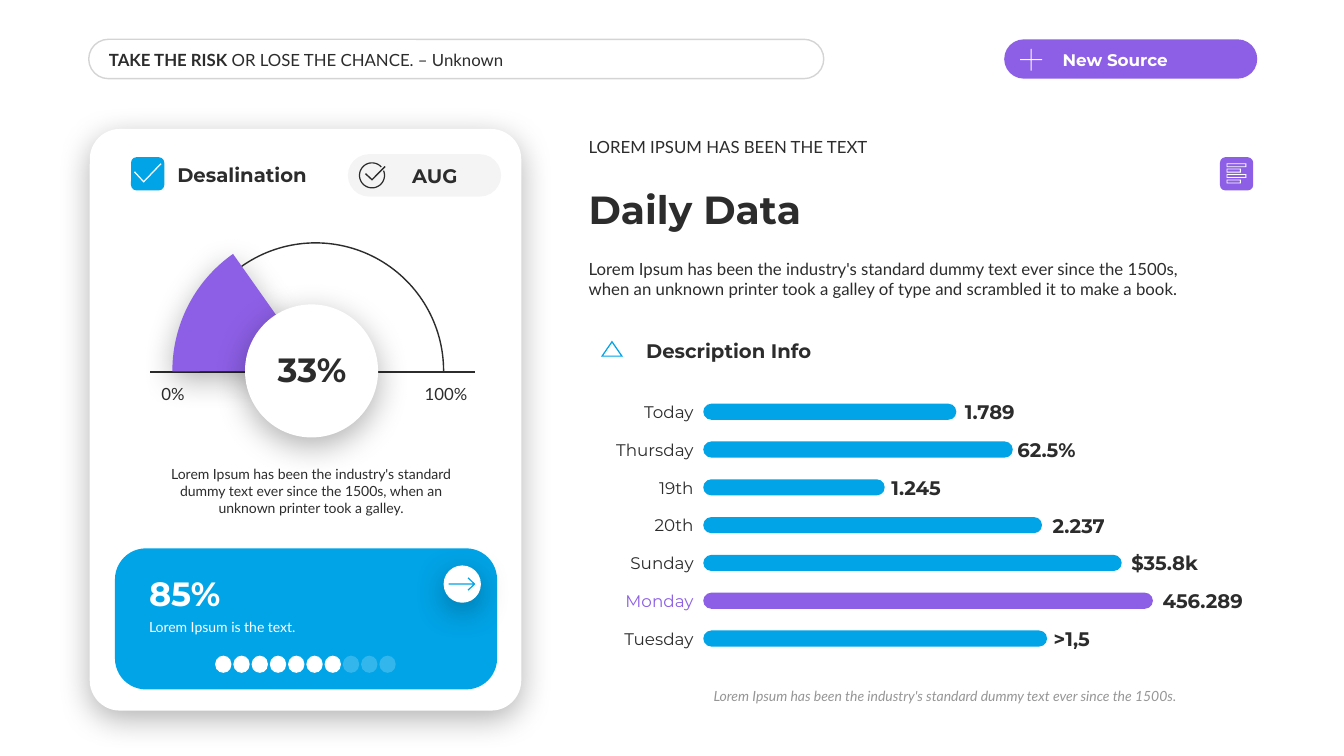
from math import cos, radians, sin

from lxml.etree import SubElement
from pptx import Presentation
from pptx.dml.color import RGBColor
from pptx.enum.shapes import MSO_CONNECTOR as Connector, MSO_SHAPE as Shape
from pptx.enum.text import MSO_ANCHOR as Anchor, MSO_AUTO_SIZE as AutoSize, PP_ALIGN as Align
from pptx.oxml.ns import qn
from pptx.util import Inches, Pt

CELL = Inches(0.1)  # the grid has square cells: 133.3 columns by 75 rows
BLUE, PURPLE, INK, WHITE, GREY = "01A4E7", "8D5FE6", "2C2C2C", "FFFFFF", "969696"
BODY, HEADING = "Lato", "Montserrat"
TEXT_INSETS, SLIM_INSETS, NO_INSETS = (1, 0.5), (0, 0.5), (0, 0)


def cells(*counts):
    return [round(count * CELL) for count in counts]


def colour(code):
    return RGBColor.from_string(code)


def set_alpha(parent, percent):
    for tint in parent.iter(qn("a:srgbClr")):
        SubElement(tint, qn("a:alpha"), val=str(percent * 1000))


class Board:
    """Holds the slide and draws styled elements, placed in grid columns and rows."""

    def __init__(self, slide):
        self.slide = slide

    def shape(self, kind, box, fill=None, line=None, adjust=(), alpha=None, lifted=False):
        shape = self.slide.shapes.add_shape(kind, *cells(*box))
        for index, value in enumerate(adjust):
            shape.adjustments[index] = value
        self.paint(shape, fill, line, alpha)
        if lifted:
            self.lift(shape)
        return shape

    def paint(self, shape, fill, line=None, alpha=None):
        shape.shadow.inherit = False
        if fill:
            shape.fill.solid()
            shape.fill.fore_color.rgb = colour(fill)
        else:
            shape.fill.background()
        if line:
            shape.line.color.rgb = colour(line)
            shape.line.width = Pt(1)
        else:
            shape.line.fill.background()
        if alpha:
            set_alpha(shape.element.spPr, alpha)

    def lift(self, shape):
        """Give the shape a soft shadow below it."""
        effects = shape.element.spPr.find(qn("a:effectLst"))
        shadow = SubElement(effects, qn("a:outerShdw"), blurRad=str(Pt(23)), dist=str(Pt(6)),
                            dir="5400000", algn="t", rotWithShape="0")
        SubElement(shadow, qn("a:srgbClr"), val="000000")
        set_alpha(shadow, 30)

    def pill(self, box, fill=None, **options):
        return self.shape(Shape.ROUNDED_RECTANGLE, box, fill, adjust=[0.5], **options)

    def icon(self, fill, *contours):
        """Fill one outline made of closed contours; inner ones cut holes."""
        fine = [[(x * 1000, y * 1000) for x, y in contour] for contour in contours]
        builder = self.slide.shapes.build_freeform(*fine[0][0], scale=CELL / 1000)
        for index, points in enumerate(fine):
            if index:
                builder.move_to(*points[0])
            builder.add_line_segments(points[1:], close=True)
        self.paint(builder.convert_to_shape(), fill)

    def rule(self, start, end):
        line = self.slide.shapes.add_connector(Connector.STRAIGHT, *cells(*start, *end))
        line.line.color.rgb = colour(INK)
        line.line.width = Pt(1)
        SubElement(line.element.spPr, qn("a:effectLst"))

    def text(self, box, words, size=12, font=BODY, tint=INK, bold=False, italic=False,
             align=Align.LEFT, anchor=Anchor.TOP, insets=TEXT_INSETS, wrap=True, after=0):
        frame = self.slide.shapes.add_textbox(*cells(*box)).text_frame
        frame.text = words
        frame.word_wrap = wrap
        frame.auto_size = AutoSize.SHAPE_TO_FIT_TEXT
        frame.vertical_anchor = anchor
        frame.margin_left = frame.margin_right = cells(insets[0])[0]
        frame.margin_top = frame.margin_bottom = cells(insets[1])[0]
        paragraph = frame.paragraphs[0]
        paragraph.alignment = align
        paragraph.space_after = Pt(after)
        self.format(paragraph.runs[0], size, font, tint, bold, italic)
        return paragraph

    def format(self, run, size, font, tint, bold=False, italic=False):
        run.font.size = Pt(size)
        run.font.name = font
        run.font.color.rgb = colour(tint)
        run.font.bold = bold
        run.font.italic = italic

    def heading(self, box, words, size=14, tint=INK, anchor=Anchor.MIDDLE, **options):
        self.text(box, words, size, HEADING, tint, bold=True, anchor=anchor, **options)


def rectangle(left, top, width, height):
    right, bottom = left + width, top + height
    return [(left, top), (right, top), (right, bottom), (left, bottom)]


def arc_points(x, y, radius, angles):
    return [(x + radius * cos(radians(a)), y + radius * sin(radians(a))) for a in angles]


def draw_header(board):
    quote_box = board.pill((8.8, 3.9, 72.9, 3.9), line=INK, alpha=20)
    quote_box.line.width = Pt(1)
    quote = board.text((10.4, 4.4, 65.1, 3), "TAKE THE RISK ", bold=True,
                       anchor=Anchor.MIDDLE, insets=(0.4, 0.5))
    rest = quote.add_run()
    rest.text = "OR LOSE THE CHANCE. – Unknown"
    board.format(rest, 12, BODY, INK)
    board.pill((99.6, 3.9, 25.1, 3.9), PURPLE)
    board.heading((104.4, 4.4, 20.2, 3), "New Source", 12, WHITE)
    x, y, reach, half = 102.27, 5.92, 1.08, 0.05
    board.icon(WHITE, [(x - half, y - reach), (x + half, y - reach), (x + half, y - half),
                       (x + reach, y - half), (x + reach, y + half), (x + half, y + half),
                       (x + half, y + reach), (x - half, y + reach), (x - half, y + half),
                       (x - reach, y + half), (x - reach, y - half), (x - half, y - half)])


def draw_card_title(board):
    board.shape(Shape.ROUNDED_RECTANGLE, (13, 15.6, 3.3, 3.3), BLUE)
    board.icon(WHITE, [(13.3, 17.1), (13.38, 17), (14.25, 17.95), (15.92, 16.2),
                       (16.02, 16.28), (14.25, 18.12)])
    board.heading((16.6, 15.6, 15.9, 3.4), "Desalination")
    board.pill((34.5, 15.3, 15.2, 4.2), INK, alpha=5)
    sweep = range(-22, 319, 5)
    ring = arc_points(36.9, 17.4, 1.3, sweep) + arc_points(36.9, 17.4, 1.18, reversed(sweep))
    tick = [(36.2, 17.28), (36.3, 17.18), (36.9, 17.74), (38.15, 16.48),
            (38.24, 16.57), (36.9, 17.92)]
    board.icon(INK, ring, tick)
    board.heading((39.9, 15.7, 8.7, 3.4), "AUG")


def draw_gauge(board):
    board.shape(Shape.ARC, (18.6, 24.1, 25.4, 25.4), line=INK, adjust=[107.89, 0])
    board.rule((14.9, 36.9), (47.1, 36.9))
    for left, width, mark in [(16, 2.3, "0%"), (42.1, 4.3, "100%")]:
        board.text((left, 38.1, width, 2), mark, align=Align.CENTER,
                   anchor=Anchor.MIDDLE, insets=NO_INSETS, wrap=False)
    board.shape(Shape.ARC, (17.1, 22.6, 28.4, 28.4), PURPLE, adjust=[107.89, 140.88], lifted=True)
    board.text((14.2, 45.7, 33.3, 6.1), "Lorem Ipsum has been the industry's standard dummy text "
               "ever since the 1500s, when an unknown printer took a galley.",
               10, align=Align.CENTER, after=6)
    board.shape(Shape.OVAL, (24.3, 30.2, 13.2, 13.2), WHITE, lifted=True)
    board.heading((23.5, 34.1, 14.9, 5), "33%", 24, align=Align.CENTER)


def draw_progress(board):
    board.shape(Shape.ROUNDED_RECTANGLE, (11.4, 54.4, 37.9, 14), BLUE, adjust=[0.22])
    board.text((13.8, 60.9, 20, 2.7), "Lorem Ipsum is the text.", 10, tint=WHITE)
    board.heading((13.8, 56.3, 20, 5), "85%", 24, WHITE, Anchor.BOTTOM)
    for index in range(10):
        board.pill((21.35 + 1.81 * index, 65.05, 1.6, 1.7), WHITE,
                   alpha=None if index < 7 else 20)
    board.shape(Shape.OVAL, (44, 56.1, 3.7, 3.7), WHITE, lifted=True)
    board.icon(BLUE, [(44.5, 57.88), (46.92, 57.88), (46.38, 57.37), (46.47, 57.28),
                      (47.14, 57.94), (46.47, 58.6), (46.38, 58.51), (46.92, 58), (44.5, 58)])


def draw_introduction(board):
    board.text((57.4, 25.2, 62.2, 5), "Lorem Ipsum has been the industry's standard dummy text "
               "ever since the 1500s, when an unknown printer took a galley of type and "
               "scrambled it to make a book.", after=6)
    board.heading((57.4, 17.8, 62.2, 5.7), "Daily Data", 28, anchor=Anchor.BOTTOM)
    board.text((57.4, 13.1, 62.2, 3), "LOREM IPSUM HAS BEEN THE TEXT", anchor=Anchor.BOTTOM)
    board.shape(Shape.ROUNDED_RECTANGLE, (121, 15.6, 3.3, 3.3), PURPLE)
    frames = []
    for index, width in enumerate([1.95, 1.4, 1.95, 1.4]):
        top = 16.2 + 0.54 * index
        frames.append(rectangle(121.66, top, width, 0.38))
        frames.append(rectangle(121.74, top + 0.08, width - 0.16, 0.22)[::-1])
    board.icon(WHITE, *frames)


def draw_daily_bars(board):
    board.heading((63.1, 33.1, 49.6, 3.4), "Description Info", anchor=Anchor.BOTTOM)
    board.icon(BLUE, [(60.7, 33.8), (61.8, 35.4), (59.6, 35.4)],
               [(60.7, 34.02), (59.83, 35.28), (61.57, 35.28)])
    days = [("Today", 25.1, "1.789", 95.7), ("Thursday", 30.7, "62.5%", 100.9),
            ("19th", 18, "1.245", 88.4), ("20th", 33.6, "2.237", 104.4),
            ("Sunday", 41.5, "$35.8k", 112.2), ("Monday", 44.6, "456.289", 115.3),
            ("Tuesday", 34.1, ">1,5", 104.5)]
    for index, (day, length, value, value_left) in enumerate(days):
        middle = 40.85 + 3.75 * index
        chosen = day == "Monday"
        board.pill((69.75, middle - 0.8, length, 1.6), PURPLE if chosen else BLUE)
        board.text((58.5, middle - 1.5, 10.3, 3), day, font=HEADING,
                   tint=PURPLE if chosen else INK, align=Align.RIGHT,
                   anchor=Anchor.MIDDLE, insets=SLIM_INSETS)
        board.heading((value_left, middle - 1.7, 13.5, 3.4), value, insets=SLIM_INSETS)
    board.text((69.8, 67.7, 54.4, 2.7), "Lorem Ipsum has been the industry's standard dummy "
               "text ever since the 1500s.", 10, tint=GREY, italic=True, after=6)


def main():
    presentation = Presentation()
    presentation.slide_width, presentation.slide_height = Inches(13.33), Inches(7.5)
    board = Board(presentation.slides.add_slide(presentation.slide_layouts[6]))
    board.shape(Shape.ROUNDED_RECTANGLE, (8.9, 12.8, 42.8, 57.7), WHITE,
                adjust=[0.07], lifted=True)
    for draw in (draw_header, draw_card_title, draw_gauge, draw_progress,
                 draw_introduction, draw_daily_bars):
        draw(board)
    presentation.save("out.pptx")


if __name__ == "__main__":
    main()
